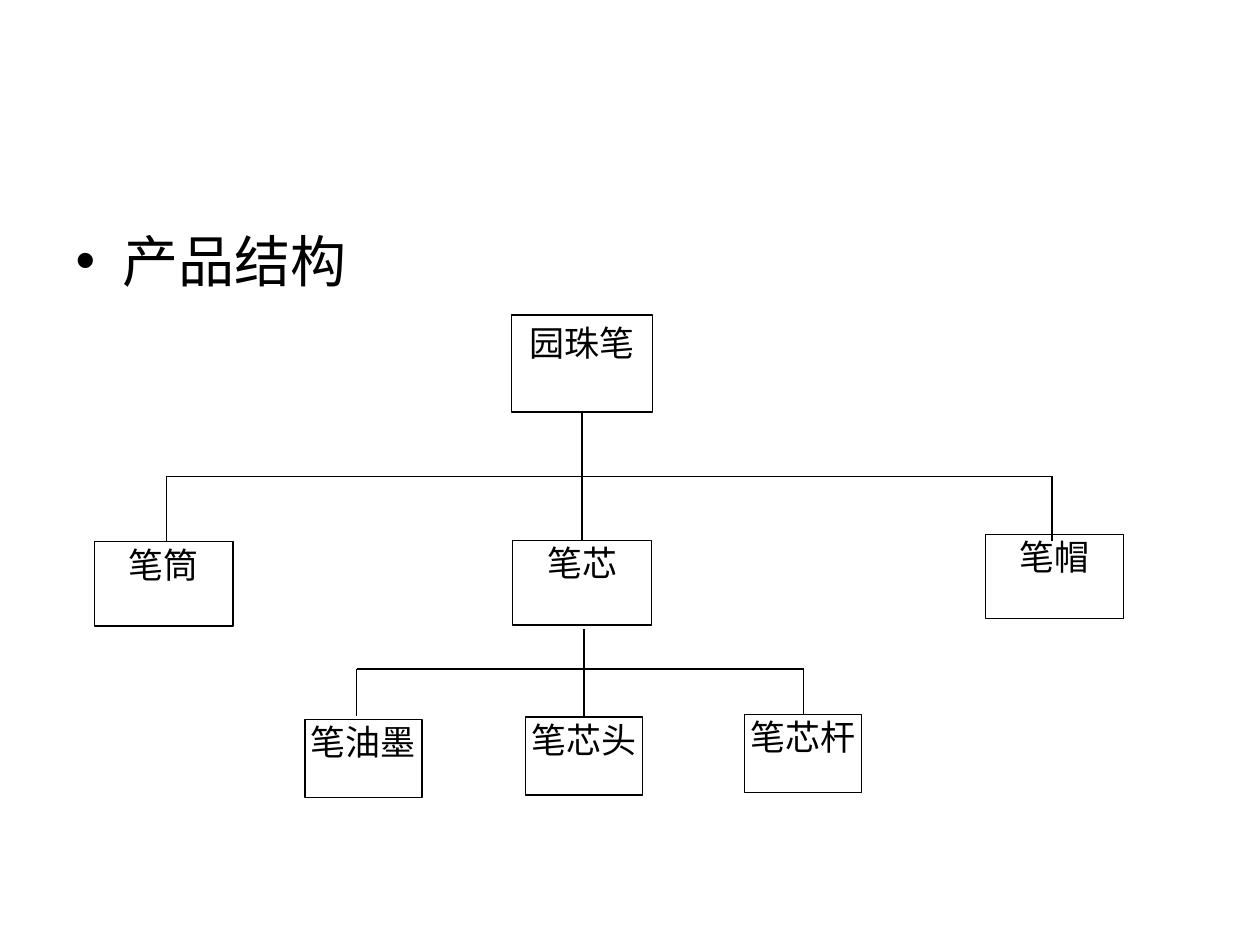
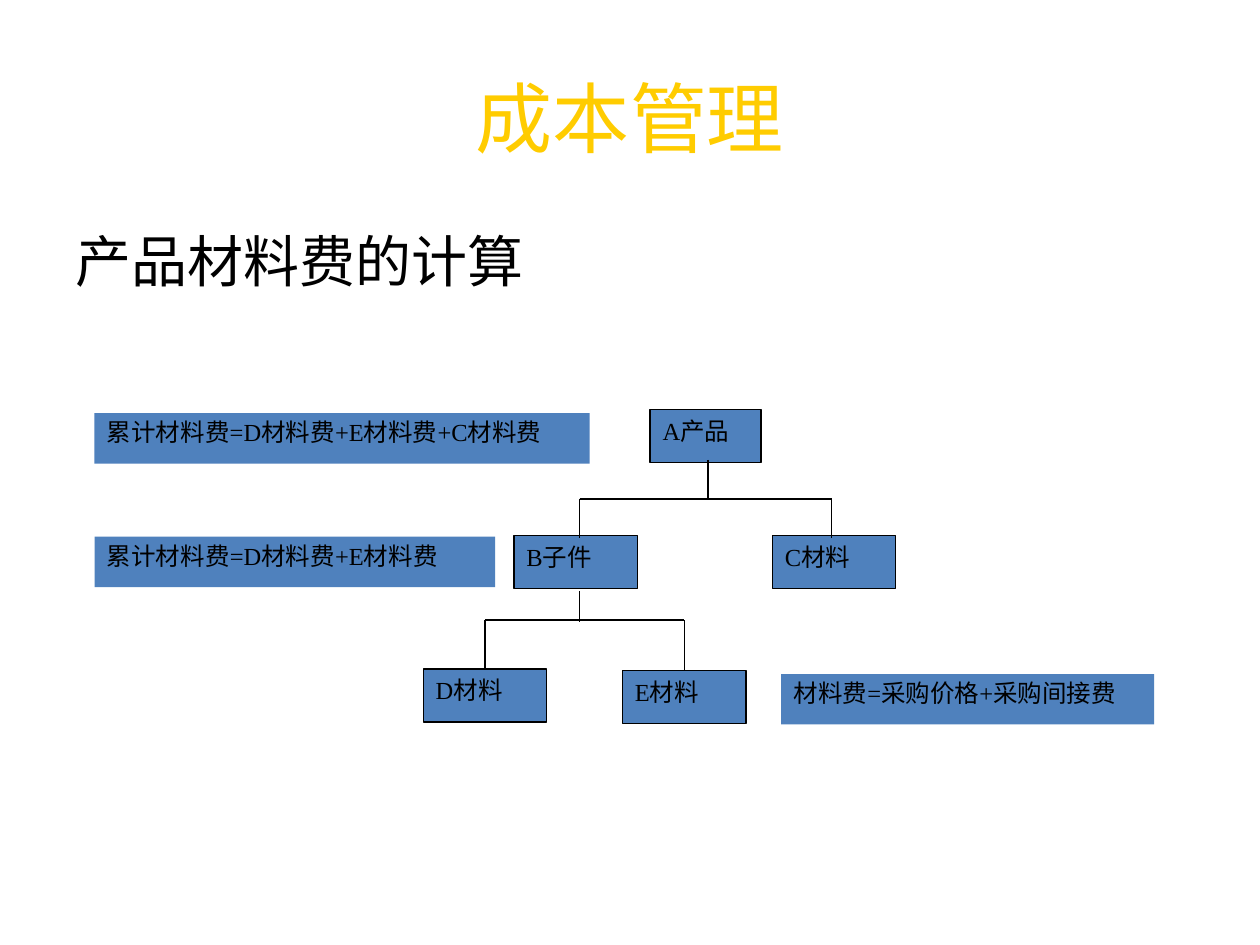
import pptx
import pptx.dml.color
import pptx.enum.shapes
import pptx.enum.text
import pptx.oxml.xmlchemy
import pptx.util
from pptx.util import Inches

ALIGN = pptx.enum.text.PP_ALIGN
BLACK, GOLD, BLUE = "000000", "FFCC00", "4F81BD"
SANS, CJK, SERIF = "Calibri", "Noto Sans CJK SC", "Times New Roman"


def colour(code):
    return pptx.dml.color.RGBColor.from_string(code)


def append_tag(parent, tag):
    parent.append(pptx.oxml.xmlchemy.OxmlElement(tag))


class Slides:
    """Shared style of the deck, and the page being filled."""

    def __init__(self):
        self.deck = pptx.Presentation()
        self.deck.slide_width, self.deck.slide_height = Inches(10), Inches(7.5)
        self.page = None

    def new_page(self):
        self.page = self.deck.slides.add_slide(self.deck.slide_layouts[1])

    def place(self, shape, left, top, width, height):
        shape.left, shape.top = Inches(left), Inches(top)
        shape.width, shape.height = Inches(width), Inches(height)

    def style(self, font, name, size, code):
        font.name, font.size = name, pptx.util.Pt(size)
        font.color.rgb = colour(code)

    def title(self, *pieces):
        """Fill the title with (text, font name) pieces; drop it if there are none."""
        holder = self.page.shapes.title
        if not pieces:
            holder.element.getparent().remove(holder.element)
            return
        self.place(holder, 0.5, 0.3, 9, 1.25)
        para = holder.text_frame.paragraphs[0]
        para.alignment = ALIGN.CENTER
        for text, name in pieces:
            span = para.add_run()
            span.text = text
            self.style(span.font, name, 44, GOLD)

    def body(self, text, bullet=True):
        holder = self.page.placeholders[1]
        self.place(holder, 0.5, 1.75, 9, 4.95)
        para = holder.text_frame.paragraphs[0]
        para.text = text
        para.space_before = pptx.util.Pt(0)
        if not bullet:
            append_tag(para._p.get_or_add_pPr(), "a:buNone")
        self.style(para.font, SANS, 32, BLACK)

    def box(self, text, left, top, width, height, name=SANS, size=20, align=ALIGN.CENTER,
            fill=None, outline=True, insets=(0.1, 0.05), spacing=None):
        box = self.page.shapes.add_shape(
            pptx.enum.shapes.MSO_SHAPE.RECTANGLE,
            Inches(left), Inches(top), Inches(width), Inches(height))
        box.shadow.inherit = False
        if fill:
            box.fill.solid()
            box.fill.fore_color.rgb = colour(fill)
        else:
            box.fill.background()
        if outline:
            self.outline(box.line)
        else:
            box.line.fill.background()
        frame = box.text_frame
        frame.word_wrap = True
        frame.vertical_anchor = pptx.enum.text.MSO_ANCHOR.TOP
        frame.margin_left = frame.margin_right = Inches(insets[0])
        frame.margin_top = frame.margin_bottom = Inches(insets[1])
        para = frame.paragraphs[0]
        para.text = text
        para.alignment = align
        if spacing:
            para.line_spacing = spacing
        self.style(para.font, name, size, BLACK)
        return box

    def component(self, text, left, top, width, height):
        return self.box(text, left, top, width, height, insets=(0.02, 0.01))

    def item(self, text, left, top, width=0.98):
        return self.box(text, left, top, width, 0.42, SERIF, 14, ALIGN.JUSTIFY, BLUE)

    def formula(self, text, left, top, width):
        return self.box(text, left, top, width, 0.4, SERIF, 14, ALIGN.JUSTIFY, BLUE,
                        outline=False, spacing=0.96)

    def outline(self, line):
        line.color.rgb = colour(BLACK)
        line.width = pptx.util.Pt(0.75)

    def line(self, x1, y1, x2, y2):
        line = self.page.shapes.add_connector(
            pptx.enum.shapes.MSO_CONNECTOR.STRAIGHT,
            Inches(x1), Inches(y1), Inches(x2), Inches(y2))
        self.outline(line.line)
        append_tag(line._element.spPr, "a:effectLst")
        return line

    def stem(self, box, y):
        """Rise from the middle of the box's top to height y."""
        x = (box.left + box.width / 2) / Inches(1)
        line = self.line(x, box.top / Inches(1), x, y)
        line.begin_connect(box, 0)

    def join(self, upper, lower):
        line = self.line(0, 0, 1, 1)
        line.begin_connect(upper, 2)
        line.end_connect(lower, 0)


def product_structure(slides):
    slides.new_page()
    slides.title()
    slides.body("产品结构")

    pen = slides.box("园珠笔", 4.06, 2.5, 1.12, 0.77)
    refill = slides.component("笔芯", 4.07, 4.29, 1.1, 0.67)
    slides.join(pen, refill)
    slides.line(1.32, 3.78, 8.35, 3.78)
    for x in (1.32, 8.35):
        slides.line(x, 3.78, x, 4.29)
    slides.component("笔筒", 0.75, 4.3, 1.1, 0.67)
    slides.component("笔帽", 7.82, 4.24, 1.1, 0.67)

    slides.component("笔油墨", 2.42, 5.71, 0.93, 0.62)
    tip = slides.component("笔芯头", 4.17, 5.69, 0.93, 0.62)
    tube = slides.component("笔芯杆", 5.91, 5.67, 0.93, 0.62)
    slides.line(2.83, 5.31, 6.38, 5.31)
    slides.line(2.83, 5.68, 2.83, 5.31)
    slides.stem(tip, 4.99)
    slides.stem(tube, 5.3)


def material_cost(slides):
    slides.new_page()
    slides.title(("成本", SANS), ("管理", CJK))
    slides.body("产品材料费的计算", bullet=False)

    slides.item("A产品", 5.16, 3.25, 0.88)
    slides.item("B子件", 4.08, 4.25)
    slides.item("C材料", 6.13, 4.25)
    material_d = slides.item("D材料", 3.36, 5.31)
    material_e = slides.item("E材料", 4.94, 5.32)

    slides.line(5.62, 3.65, 5.62, 3.96)
    slides.line(4.6, 3.96, 6.6, 3.96)
    for x in (4.6, 6.6):
        slides.line(x, 3.96, x, 4.27)
    slides.line(4.6, 4.69, 4.6, 4.94)
    slides.line(3.85, 4.92, 5.43, 4.92)
    for material in (material_d, material_e):
        slides.stem(material, 4.92)

    slides.formula("材料费=采购价格+采购间接费", 6.2, 5.35, 2.96)
    slides.formula("累计材料费=D材料费+E材料费", 0.75, 4.26, 3.18)
    slides.formula("累计材料费=D材料费+E材料费+C材料费", 0.75, 3.28, 3.93)


def main():
    slides = Slides()
    product_structure(slides)
    material_cost(slides)
    slides.deck.save("out.pptx")


if __name__ == "__main__":
    main()
